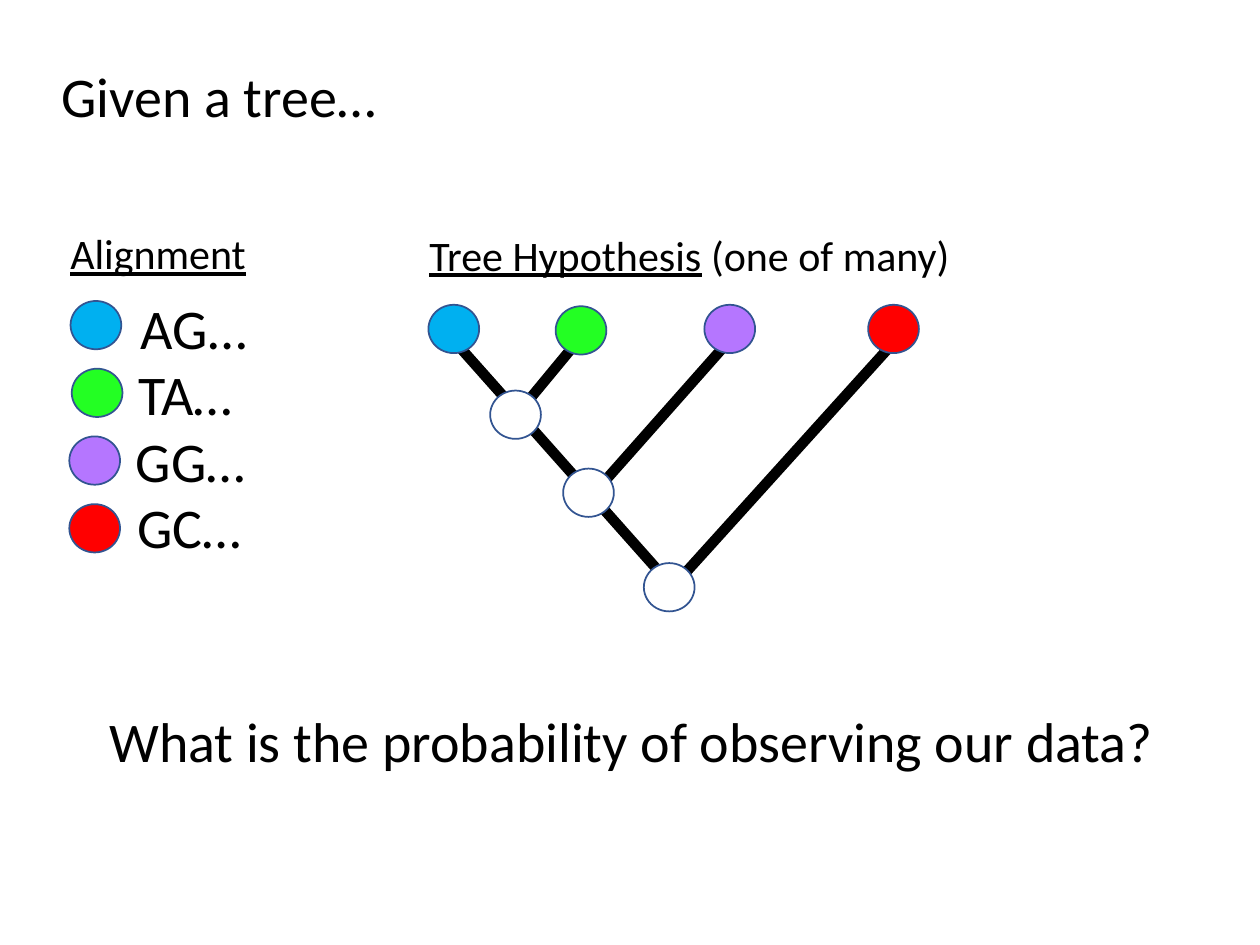
from dataclasses import dataclass

from lxml import etree
from pptx import Presentation
from pptx.dml.color import RGBColor
from pptx.enum.shapes import MSO_CONNECTOR, MSO_SHAPE
from pptx.enum.text import MSO_AUTO_SIZE
from pptx.oxml.ns import qn
from pptx.util import Pt

LINE = MSO_CONNECTOR.STRAIGHT
OVAL = MSO_SHAPE.OVAL
GROW = MSO_AUTO_SIZE.SHAPE_TO_FIT_TEXT


@dataclass(frozen=True)
class Theme:
    font: str = "Calibri"
    large: int = 32
    small: int = 24
    ink: str = "000000"
    edge: str = "325491"
    white: str = "FFFFFF"
    blue: str = "00B0F0"
    green: str = "23FF23"
    purple: str = "B576FF"
    red: str = "FF0000"


class Page:
    def __init__(self, slide, theme):
        self.slide = slide
        self.theme = theme

    def branch(self, start, end):
        ends = [Pt(v) for v in (*start, *end)]
        line = self.slide.shapes.add_connector(LINE, *ends)
        line.line.color.rgb = RGBColor.from_string(self.theme.ink)
        line.line.width = Pt(6)
        etree.SubElement(line._element.spPr, qn("a:effectLst"))

    def node(self, left, top, color):
        oval = self.slide.shapes.add_shape(OVAL, Pt(left), Pt(top), Pt(29), Pt(27.6))
        oval.shadow.inherit = False
        oval.fill.solid()
        oval.fill.fore_color.rgb = RGBColor.from_string(color)
        oval.line.color.rgb = RGBColor.from_string(self.theme.edge)
        oval.line.width = Pt(1)

    def text(self, left, top, width, height, parts, size, wrap=False):
        box = self.slide.shapes.add_textbox(Pt(left), Pt(top), Pt(width), Pt(height))
        frame = box.text_frame
        frame.word_wrap = wrap
        frame.auto_size = GROW
        para = frame.paragraphs[0]
        para.font.name = self.theme.font
        para.font.size = Pt(size)
        para.font.color.rgb = RGBColor.from_string(self.theme.ink)
        for words, under in parts:
            run = para.add_run()
            run.text = words
            if under:
                run.font.underline = True


def main():
    deck = Presentation()
    deck.slide_width, deck.slide_height = Pt(720), Pt(540)
    theme = Theme()
    page = Page(deck.slides.add_slide(deck.slide_layouts[6]), theme)

    for start, end in (
        ((384.5, 335.5), (259.2, 194.4)),
        ((296.6, 235.4), (330.5, 194.4)),
        ((338.4, 283), (416.9, 194.4)),
        ((382.3, 337.7), (517.7, 187.9)),
    ):
        page.branch(start, end)

    for left, top in ((367.9, 321.8), (321.8, 267.8), (280.1, 223.2)):
        page.node(left, top, theme.white)

    taxa = (
        (theme.blue, "AG…", 244.8, 174.2, 40.3, 73.4, 75.6),
        (theme.green, "TA…", 317.5, 175, 41, 72, 69.1),
        (theme.purple, "GG…", 402.5, 174.2, 39.6, 70.6, 77.8),
        (theme.red, "GC…", 496.1, 174.2, 39.6, 71.3, 74.9),
    )
    for row, (color, bases, tip, top, dot, left, width) in enumerate(taxa):
        page.node(tip, top, color)
        page.node(dot, 172 + 38.7 * row, color)
        page.text(left, 164 + 38 * row, width, 46, [(bases, False)], theme.large)

    page.text(33.1, 126.7, 116, 36, [("Alignment", True)], theme.small)
    page.text(238.3, 127.4, 314.6, 36,
              [("Tree Hypothesis", True), (" (one of many)", False)], theme.small)
    page.text(28.1, 31.7, 667.4, 46, [("Given a tree…", False)], theme.large, True)
    page.text(55.4, 400.3, 614.2, 46,
              [("What is the probability of observing our data?", False)],
              theme.large, True)
    deck.save("out.pptx")


if __name__ == "__main__":
    main()
